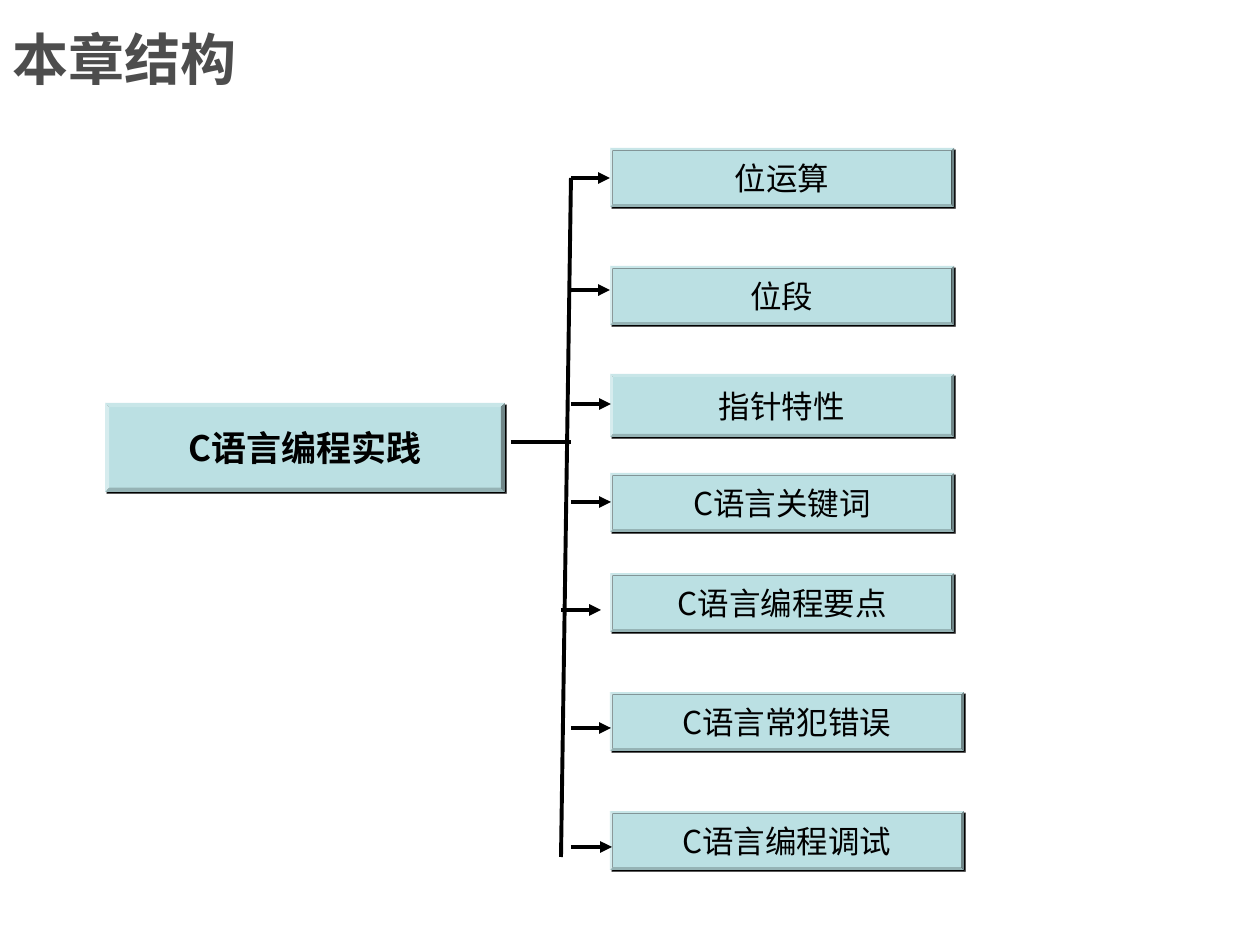
from lxml import etree
from pptx import Presentation
from pptx.dml.color import RGBColor
from pptx.enum.shapes import MSO_CONNECTOR, MSO_SHAPE
from pptx.enum.text import MSO_ANCHOR, PP_ALIGN
from pptx.oxml import parse_xml
from pptx.oxml.ns import nsdecls, qn
from pptx.util import Pt

LINE = MSO_CONNECTOR.STRAIGHT
BEVEL = MSO_SHAPE.BEVEL
MIDDLE = MSO_ANCHOR.MIDDLE
CENTER, LEFT = PP_ALIGN.CENTER, PP_ALIGN.LEFT

BLACK = RGBColor(0x00, 0x00, 0x00)
GRAY = RGBColor(0x4D, 0x4D, 0x4D)
TEAL = RGBColor(0xBB, 0xE0, 0xE3)

CJK = "Noto Sans CJK SC"
EMU = 914400 / 126
SHADOW = (
    f'<a:effectLst {nsdecls("a")}>'
    '<a:outerShdw dist="17780" dir="2700000" algn="ctr" rotWithShape="0">'
    '<a:srgbClr val="000000"/></a:outerShdw></a:effectLst>'
)


def px(*vals):
    return [round(v * EMU) for v in vals]


class Deck:
    def __init__(self):
        self.prs = Presentation()
        self.prs.slide_width, self.prs.slide_height = px(1260, 945)
        self.slide = self.prs.slides.add_slide(self.prs.slide_layouts[5])

    def label(self, shape, text, size, font, color, bold, align):
        frame = shape.text_frame
        frame.text = text
        frame.vertical_anchor = MIDDLE
        para = frame.paragraphs[0]
        para.alignment = align
        run = para.runs[0]
        run.font.name, run.font.size, run.font.bold = font, Pt(size), bold
        run.font.color.rgb = color
        latin = run.font._element.find(qn("a:latin"))
        latin.addnext(etree.Element(qn("a:ea"), typeface=CJK))

    def title(self, text, x, y, w, h):
        shape = self.slide.shapes.title
        shape.left, shape.top, shape.width, shape.height = px(x, y, w, h)
        self.label(shape, text, 32, "Arial", GRAY, True, LEFT)

    def box(self, text, x, y, w, h, size=18, bold=False):
        shape = self.slide.shapes.add_shape(BEVEL, *px(x, y, w, h))
        shape.adjustments[0] = 0.047
        shape.fill.solid()
        shape.fill.fore_color.rgb = TEAL
        shape.line.fill.background()
        shape._element.spPr.append(parse_xml(SHADOW))
        shape.text_frame.word_wrap = False
        self.label(shape, text, size, CJK, BLACK, bold, CENTER)

    def line(self, x1, y1, x2, y2, arrow=False):
        link = self.slide.shapes.add_connector(LINE, *px(x1, y1, x2, y2))
        link.line.color.rgb = BLACK
        link.line.width = Pt(2.25)
        props = link._element.spPr
        if arrow:
            etree.SubElement(props.find(qn("a:ln")), qn("a:tailEnd"), type="triangle")
        etree.SubElement(props, qn("a:effectLst"))


# text, box top, width, height, arrow start, arrow end, arrow height
TOPICS = [
    ("位运算", 148, 344, 59, 571, 610, 178),
    ("位段", 266, 344, 59, 571, 610, 290),
    ("指针特性", 374, 344, 63, 571, 611, 404),
    ("C语言关键词", 473, 344, 59, 571, 611, 502),
    ("C语言编程要点", 573, 344, 59, 561, 601, 610),
    ("C语言常犯错误", 692, 354, 59, 571, 611, 728),
    ("C语言编程调试", 811, 354, 59, 571, 612, 847),
]


def main():
    deck = Deck()
    deck.title("本章结构", 0, 0, 945, 116)
    deck.box("C语言编程实践", 105, 403, 400, 89, size=20, bold=True)
    deck.line(571, 178, 561, 857)
    deck.line(511, 442, 571, 442)
    for text, top, wide, high, start, end, mid in TOPICS:
        deck.box(text, 610, top, wide, high)
        deck.line(start, mid, end, mid, arrow=True)
    deck.prs.save("out.pptx")


if __name__ == "__main__":
    main()
